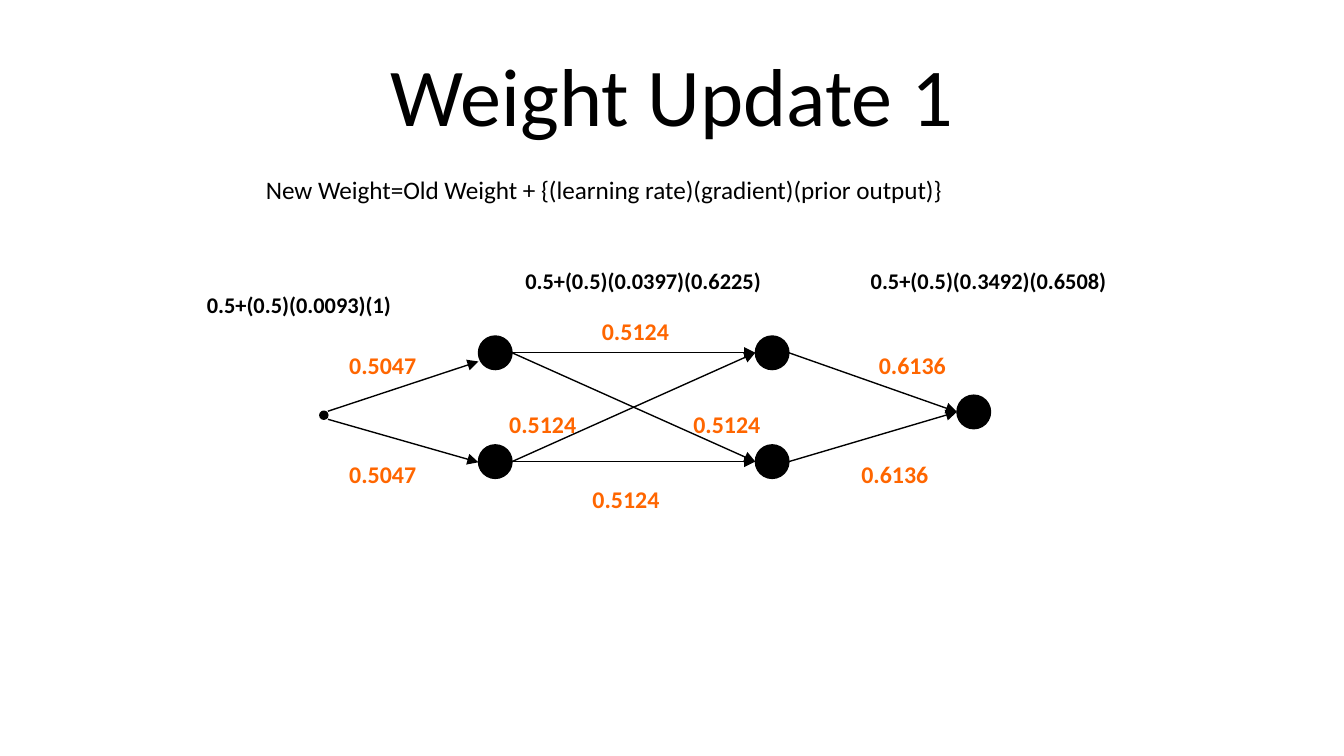
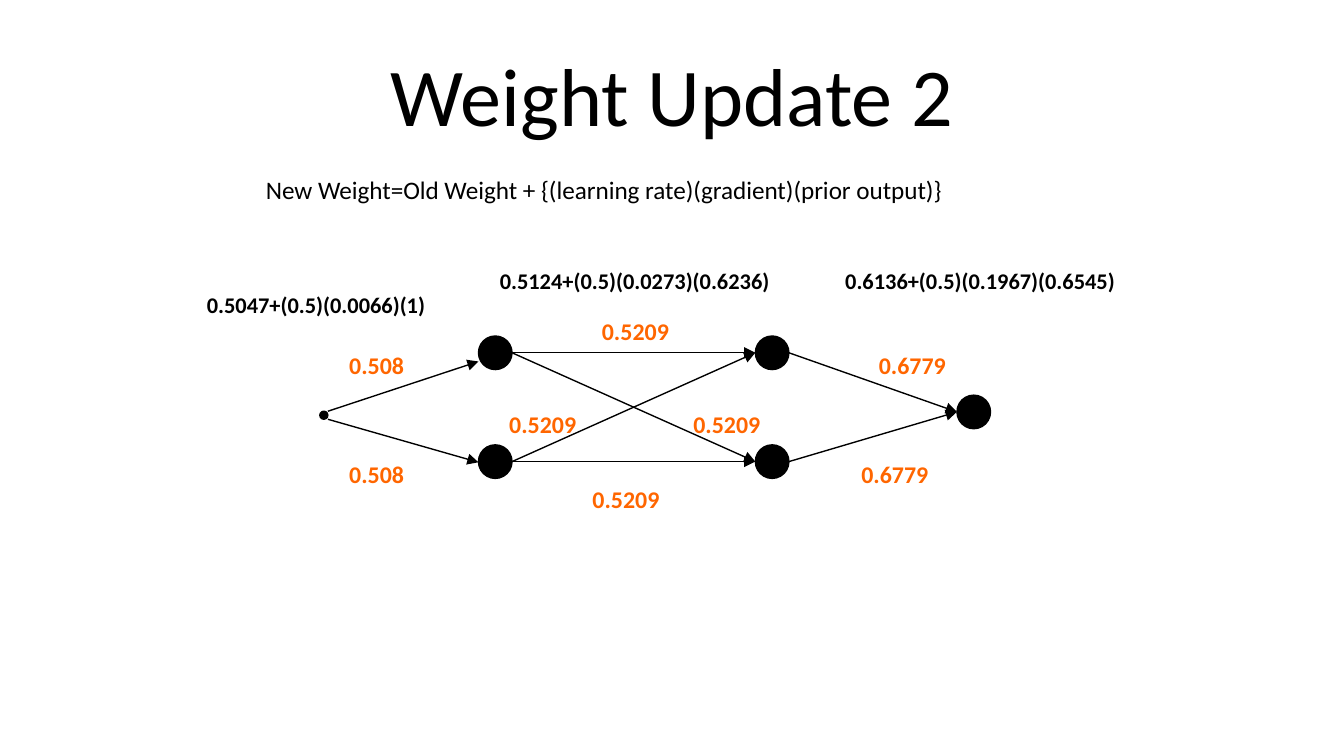
from itertools import product

from lxml import etree
from pptx import Presentation
from pptx.dml.color import RGBColor
from pptx.enum.shapes import MSO_CONNECTOR, MSO_SHAPE
from pptx.enum.text import MSO_ANCHOR, MSO_AUTO_SIZE, PP_ALIGN
from pptx.oxml.ns import qn
from pptx.util import Inches, Pt

STRAIGHT = MSO_CONNECTOR.STRAIGHT
OVAL = MSO_SHAPE.OVAL
MIDDLE = MSO_ANCHOR.MIDDLE
CENTER = PP_ALIGN.CENTER
FIT_SHAPE = MSO_AUTO_SIZE.SHAPE_TO_FIT_TEXT
NO_FIT = MSO_AUTO_SIZE.NONE

SLIDE_WIDTH = 10
SLIDE_HEIGHT = SLIDE_WIDTH * 9 / 16
FONT = "Calibri"
COLORS = {"ink": "000000", "weight": "FF6600"}
RULE = "New Weight=Old Weight + {(learning rate)(gradient)(prior output)}"

TITLE_BOX = (0.5, 0.23, 9, 0.94)
RULE_BOX = (1.88, 1.25, 5.32, 0.33)
NETWORK_BOX = (2.38, 2.5, 4.99, 1.06)

NODE_SIZE = 0.25
INPUT_SIZE = 0.06
INPUT_TOP = 0.56
FIRST_LAYER = [(1.18, 0), (1.18, 0.81)]
SECOND_LAYER = [(3.24, 0), (3.24, 0.81)]
OUTPUT = (4.74, 0.44)
WEIGHT_SPOTS = [
    [(0.12, 0.06), (0.12, 0.87)],
    [(2, -0.19), (1.31, 0.5), (2.68, 0.5), (1.93, 1.06)],
    [(4.06, 0.06), (3.93, 0.87)],
]
FORMULA_RIGHT_TOPS = [(1.25, -0.38), (3.62, -0.56), (6.19, -0.56)]

UPDATES = [
    {
        "title": "Weight Update 1",
        "weights": ["0.5047", "0.5124", "0.6136"],
        "formulas": [
            ("0.5+(0.5)(0.0093)(1)", 2.19),
            ("0.5+(0.5)(0.0397)(0.6225)", 2.19),
            ("0.5+(0.5)(0.3492)(0.6508)", 2.19),
        ],
    },
    {
        "title": "Weight Update 2",
        "weights": ["0.508", "0.5209", "0.6779"],
        "formulas": [
            ("0.5047+(0.5)(0.0066)(1)", 2.19),
            ("0.5124+(0.5)(0.0273)(0.6236)", 2.38),
            ("0.6136+(0.5)(0.1967)(0.6545)", 2.38),
        ],
    },
]


def color(name):
    return RGBColor.from_string(COLORS[name])


def add_run(paragraph, text, size, color_name="ink", bold=False):
    run = paragraph.add_run()
    run.text = text
    run.font.name = FONT
    run.font.size = Pt(size)
    run.font.bold = bold
    run.font.color.rgb = color(color_name)


def add_label(slide, box, text, size, color_name="ink", bold=True, wrap=True):
    label = slide.shapes.add_textbox(*map(Inches, box))
    frame = label.text_frame
    frame.word_wrap = wrap
    frame.auto_size = FIT_SHAPE
    add_run(frame.paragraphs[0], text, size, color_name, bold)


def add_title(slide, box, text):
    title = slide.shapes.title
    title.left, title.top, title.width, title.height = map(Inches, box)
    frame = title.text_frame
    frame.auto_size = NO_FIT
    frame.vertical_anchor = MIDDLE
    paragraph = frame.paragraphs[0]
    paragraph.alignment = CENTER
    add_run(paragraph, text, 44)


def add_node(group, left, top, size):
    node = group.shapes.add_shape(OVAL, *map(Inches, (left, top, size, size)))
    node.shadow.inherit = False
    node.fill.solid()
    node.fill.fore_color.rgb = color("ink")
    node.line.color.rgb = color("ink")
    node.line.width = Pt(0.75)


def add_arrow(group, start, end):
    arrow = group.shapes.add_connector(STRAIGHT, *map(Inches, (*start, *end)))
    arrow.line.color.rgb = color("ink")
    arrow.line.width = Pt(0.75)
    properties = arrow._element.spPr
    line = properties.find(qn("a:ln"))
    etree.SubElement(line, qn("a:tailEnd"), type="triangle")
    etree.SubElement(properties, qn("a:effectLst"))


def add_network(slide, box):
    left, top = box[:2]
    group = slide.shapes.add_group_shape()
    for x, y in FIRST_LAYER + SECOND_LAYER + [OUTPUT]:
        add_node(group, left + x, top + y, NODE_SIZE)
    add_node(group, left, top + INPUT_TOP, INPUT_SIZE)

    input_bottom = INPUT_TOP + INPUT_SIZE
    edges = [
        ((INPUT_SIZE, INPUT_TOP), (FIRST_LAYER[0][0], 0.19)),
        ((INPUT_SIZE, input_bottom), (FIRST_LAYER[1][0], 0.94)),
    ]
    links = [*product(FIRST_LAYER, SECOND_LAYER), *product(SECOND_LAYER, [OUTPUT])]
    half = NODE_SIZE / 2
    for source, target in links:
        start = (source[0] + NODE_SIZE, source[1] + half)
        end = (target[0], target[1] + half)
        edges.append((start, end))
    for start, end in edges:
        add_arrow(
            group,
            (left + start[0], top + start[1]),
            (left + end[0], top + end[1]),
        )


def add_weights(slide, box, weights):
    left, top = box[:2]
    for weight, spots in zip(weights, WEIGHT_SPOTS):
        for x, y in spots:
            spot_box = (left + x, top + y, 0.88, 0.32)
            add_label(slide, spot_box, weight, 12.8, "weight")


def add_formulas(slide, box, formulas):
    left, top = box[:2]
    for (text, width), (right, y) in zip(formulas, FORMULA_RIGHT_TOPS):
        add_label(slide, (left + right - width, top + y, width, 0.3), text, 12)


def add_update_slide(presentation, update):
    slide = presentation.slides.add_slide(presentation.slide_layouts[5])
    add_title(slide, TITLE_BOX, update["title"])
    add_network(slide, NETWORK_BOX)
    add_label(slide, RULE_BOX, RULE, 13.5, bold=False, wrap=False)
    add_weights(slide, NETWORK_BOX, update["weights"])
    add_formulas(slide, NETWORK_BOX, update["formulas"])


def main():
    presentation = Presentation()
    presentation.slide_width = Inches(SLIDE_WIDTH)
    presentation.slide_height = Inches(SLIDE_HEIGHT)
    for update in UPDATES:
        add_update_slide(presentation, update)
    presentation.save("out.pptx")


if __name__ == "__main__":
    main()
